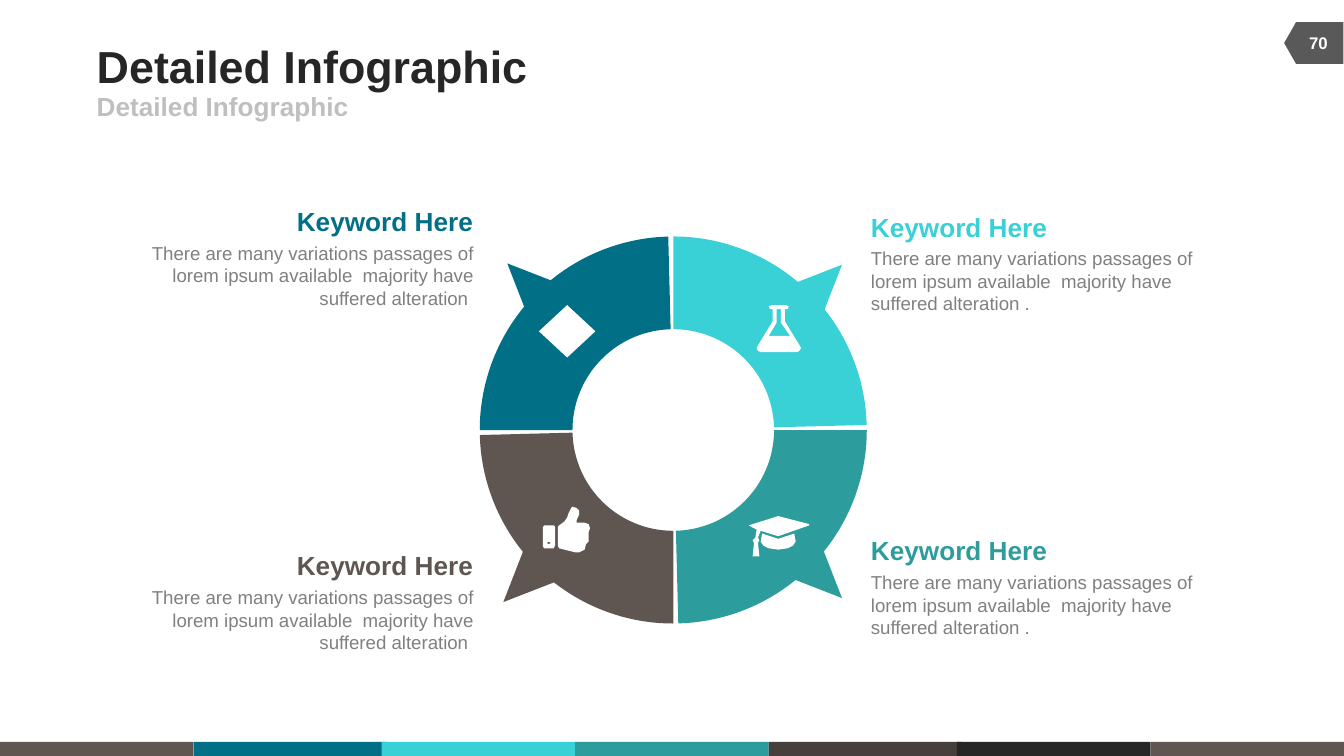
"""Build the four-part ring infographic slide."""
import math

import pptx
import pptx.util
from pptx.dml.color import RGBColor
from pptx.enum.shapes import MSO_SHAPE
from pptx.enum.text import MSO_ANCHOR, PP_ALIGN
from pptx.util import Inches

COLORS = {
    "brown": "5F5551", "blue": "016F86", "cyan": "39D0D6", "teal": "2D9C9C",
    "dark": "473F3C", "black": "262626", "tag": "595959", "subtitle": "BFBFBF",
    "body": "808080", "white": "FFFFFF",
}
TITLE = "Detailed Infographic"
KEYWORD = "Keyword Here"
BODY = "There are many variations passages of lorem ipsum available  majority have suffered alteration "
FOOTER = [(0, "brown"), (1.44, "blue"), (2.84, "cyan"), (4.28, "teal"),
          (5.72, "dark"), (7.12, "black"), (8.56, "brown")]

# color, arc start, spike left, spike top, spike rotation, keyword top, side
SECTIONS = [
    ("blue", 180, 3.74, 1.90, 315, 1.53, "left"),
    ("brown", 90, 3.71, 4.13, 225, 4.09, "left"),
    ("cyan", 270, 5.94, 1.91, 45, 1.57, "right"),
    ("teal", 0, 5.94, 4.10, 135, 3.98, "right"),
]
CENTER, OUTER, INNER, SWEEP = (5.01, 3.2), 1.44, 0.75, 88.5
TEXT_SIDES = {"left": (3.52, PP_ALIGN.RIGHT, ""), "right": (6.48, PP_ALIGN.LEFT, ".")}
KEYWORD_W, BODY_W = 1.32, 2.49

FLASK = [
    [(5.93, 2.62), (5.66, 2.62), (5.64, 2.61), (5.63, 2.59), (5.64, 2.57), (5.75, 2.39),
     (5.75, 2.3), (5.73, 2.3), (5.72, 2.28), (5.74, 2.27), (5.85, 2.27), (5.87, 2.28),
     (5.86, 2.3), (5.84, 2.3), (5.84, 2.39), (5.95, 2.57), (5.96, 2.59), (5.95, 2.61)],
    [(5.72, 2.5), (5.88, 2.5), (5.81, 2.4), (5.81, 2.3), (5.78, 2.3), (5.78, 2.4)],
]
CAP = [
    [(6.02, 3.91), (5.79, 3.99), (5.66, 3.95), (5.64, 4.0), (5.65, 4.02), (5.64, 4.04),
     (5.65, 4.14), (5.6, 4.14), (5.61, 4.04), (5.6, 4.02), (5.62, 4.0), (5.63, 3.94),
     (5.57, 3.91), (5.79, 3.84), (6.02, 3.9)],
    [(5.92, 4.03), (5.9, 4.06), (5.86, 4.08), (5.79, 4.09), (5.72, 4.08), (5.68, 4.06),
     (5.66, 4.03), (5.67, 3.97), (5.79, 4.01), (5.91, 3.97)],
]
THUMB = [
    [(4.13, 4.06), (4.12, 4.08), (4.05, 4.08), (4.04, 4.07), (4.04, 3.92), (4.05, 3.91),
     (4.12, 3.91), (4.13, 3.92)],
    [(4.08, 4.03), (4.07, 4.04), (4.08, 4.05), (4.1, 4.04)],
    [(4.38, 3.96), (4.38, 4.03), (4.36, 4.05), (4.35, 4.09), (4.31, 4.11), (4.28, 4.11),
     (4.2, 4.09), (4.16, 4.08), (4.15, 4.06), (4.15, 3.92), (4.16, 3.91), (4.2, 3.88),
     (4.22, 3.85), (4.23, 3.82), (4.25, 3.78), (4.26, 3.77), (4.29, 3.78), (4.31, 3.8),
     (4.31, 3.83), (4.29, 3.87), (4.29, 3.89), (4.35, 3.89), (4.38, 3.9), (4.39, 3.93)],
]


def paint(sp, color):
    sp.shadow.inherit = False
    sp.fill.solid()
    sp.fill.fore_color.rgb = RGBColor.from_string(COLORS[color])
    sp.line.fill.background()


def add_preset(kind, box, color, rotation=0):
    sp = slide.shapes.add_shape(kind, *map(Inches, box))
    sp.rotation = rotation
    paint(sp, color)


def add_outline(contours, color):
    contours = [[(Inches(x), Inches(y)) for x, y in contour] for contour in contours]
    builder = slide.shapes.build_freeform(*contours[0][0], scale=1.0)
    for i, contour in enumerate(contours):
        if i:
            builder.move_to(*contour[0])
        builder.add_line_segments(contour[1:], close=True)
    paint(builder.convert_to_shape(), color)


def add_text(text, box, size, color, bold=False, align=PP_ALIGN.LEFT,
             anchor=MSO_ANCHOR.TOP, wrap=True):
    tf = slide.shapes.add_textbox(*map(Inches, box)).text_frame
    tf.margin_left = tf.margin_right = tf.margin_top = tf.margin_bottom = 0
    tf.word_wrap = wrap
    tf.vertical_anchor = anchor
    p = tf.paragraphs[0]
    p.text = text
    p.alignment = align
    p.font.name = "Arial"
    p.font.size = pptx.util.Pt(size)
    p.font.bold = bold
    p.font.color.rgb = RGBColor.from_string(COLORS[color])


def arc(radius, start):
    angles = [math.radians(start + SWEEP * i / 40) for i in range(41)]
    return [(CENTER[0] + radius * math.cos(a), CENTER[1] + radius * math.sin(a)) for a in angles]


prs = pptx.Presentation()
prs.slide_width = Inches(10)
prs.slide_height = prs.slide_width * 9 // 16
slide = prs.slides.add_slide(prs.slide_layouts[6])

for left, color in FOOTER:
    add_preset(MSO_SHAPE.RECTANGLE, (left, 5.52, 1.44, prs.slide_height.inches - 5.52), color)
add_preset(MSO_SHAPE.FLOWCHART_OFFPAGE_CONNECTOR, (9.62, 0.1, 0.31, 0.44), "tag", 90)
add_text(TITLE, (0.72, 0.29, 6.17, 0.39), 24, "black", True, anchor=MSO_ANCHOR.MIDDLE)
add_text(TITLE, (0.72, 0.68, 4.5, 0.22), 14, "subtitle", True, anchor=MSO_ANCHOR.MIDDLE)
add_text("70", (9.6, 0.17, 0.42, 0.3), 9, "white", True, PP_ALIGN.CENTER, MSO_ANCHOR.MIDDLE)

for color, start, spike_left, spike_top, rotation, top, side in SECTIONS:
    add_outline([arc(OUTER, start) + arc(INNER, start)[::-1]], color)
    add_preset(MSO_SHAPE.ISOSCELES_TRIANGLE, (spike_left, spike_top, 0.36, 0.41), color, rotation)
    edge, align, ending = TEXT_SIDES[side]
    shift = 1 if side == "left" else 0
    add_text(BODY + ending, (edge - shift * BODY_W, top + 0.27, BODY_W, 0.5), 10, "body", align=align)
    add_text(KEYWORD, (edge - shift * KEYWORD_W, top, KEYWORD_W, 0.24), 14, color, True, align, wrap=False)

add_preset(MSO_SHAPE.DIAMOND, (4.01, 2.27, 0.42, 0.39), "white")
for icon in (FLASK, CAP, THUMB):
    add_outline(icon, "white")

prs.save("out.pptx")
